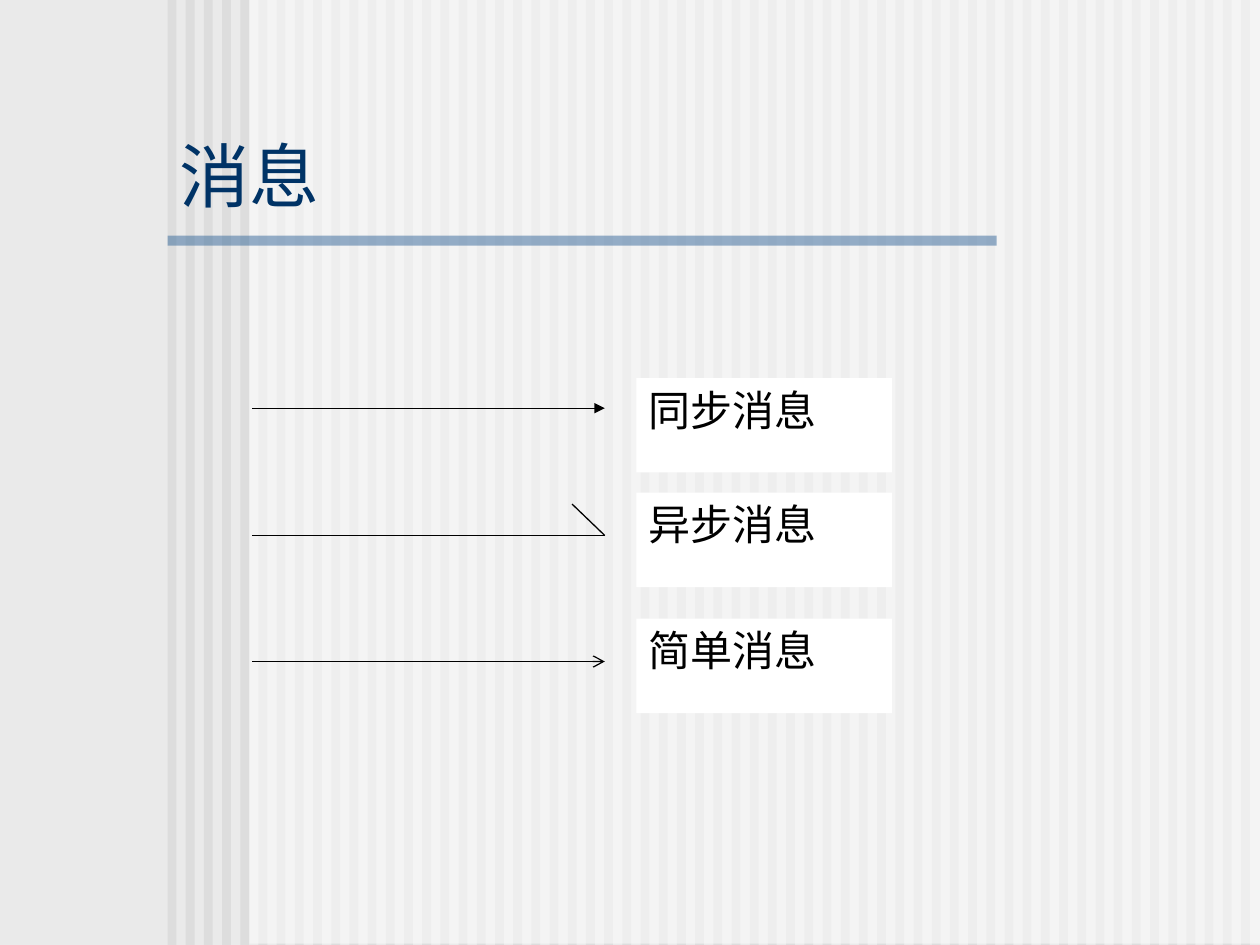
from dataclasses import dataclass

from lxml.etree import SubElement
from pptx import Presentation
from pptx.dml.color import RGBColor
from pptx.enum.shapes import MSO_CONNECTOR, MSO_SHAPE
from pptx.enum.text import MSO_ANCHOR, PP_ALIGN
from pptx.oxml.ns import qn
from pptx.util import Inches, Pt


@dataclass(frozen=True)
class Theme:
    background: str = "EAEAEA"
    stripe: str = "DDDDDD"
    white: str = "FFFFFF"
    rule: str = "336699"
    title: str = "003366"
    ink: str = "000000"
    title_font: str = "Arial"
    label_font: str = "Times New Roman"
    title_size: int = 40
    label_size: int = 24
    line_width: float = 0.75


class SlideBuilder:
    def __init__(self, slide, theme):
        self.slide = slide
        self.theme = theme
        fill = slide.background.fill
        fill.solid()
        fill.fore_color.rgb = RGBColor.from_string(theme.background)

    def rectangle(self, left, top, width, height, color, opacity=100):
        shape = self.slide.shapes.add_shape(
            MSO_SHAPE.RECTANGLE, Inches(left), Inches(top), Inches(width), Inches(height)
        )
        shape.shadow.inherit = False
        shape.line.fill.background()
        shape.fill.solid()
        shape.fill.fore_color.rgb = RGBColor.from_string(color)
        if opacity < 100:
            color_element = shape._element.spPr.find(f".//{qn('a:srgbClr')}")
            SubElement(color_element, qn("a:alpha"), val=str(opacity * 1000))
        return shape

    def set_text(self, shape, text, font_name, size, color, alignment, anchor):
        frame = shape.text_frame
        paragraph = frame.paragraphs[0]
        paragraph.text = text
        paragraph.alignment = alignment
        frame_format = {"word_wrap": True, "vertical_anchor": anchor}
        font_format = {"name": font_name, "size": Pt(size)}
        for target, values in ((frame, frame_format), (paragraph.runs[0].font, font_format)):
            for name, value in values.items():
                setattr(target, name, value)
        paragraph.runs[0].font.color.rgb = RGBColor.from_string(color)

    def title(self, text, left, top, width, height):
        box = self.slide.shapes.add_textbox(
            Inches(left), Inches(top), Inches(width), Inches(height)
        )
        theme = self.theme
        self.set_text(box, text, theme.title_font, theme.title_size, theme.title,
                      PP_ALIGN.LEFT, MSO_ANCHOR.BOTTOM)

    def label(self, text, left, top, width, height):
        theme = self.theme
        shape = self.rectangle(left, top, width, height, theme.white)
        self.set_text(shape, text, theme.label_font, theme.label_size, theme.ink,
                      PP_ALIGN.JUSTIFY, MSO_ANCHOR.TOP)

    def line(self, start, end, arrowhead=None):
        connector = self.slide.shapes.add_connector(
            MSO_CONNECTOR.STRAIGHT, *(Inches(value) for value in (*start, *end))
        )
        connector.line.width = Pt(self.theme.line_width)
        connector.line.color.rgb = RGBColor.from_string(self.theme.ink)
        properties = connector._element.spPr
        if arrowhead:
            SubElement(properties.find(qn("a:ln")), qn("a:tailEnd"), type=arrowhead)
        SubElement(properties, qn("a:effectLst"))


def add_backdrop(builder, theme):
    first_left, last_left, stripe_count = 1.33, 9.85, 60
    pitch = (last_left - first_left) / (stripe_count - 1)
    for index in range(stripe_count):
        builder.rectangle(first_left + index * pitch, 0, 0.07, 7.5, theme.stripe)
    builder.rectangle(1.98, -0.01, 8.02, 7.5, theme.white, opacity=50)
    builder.rectangle(first_left, 1.87, 6.58, 0.08, theme.rule, opacity=50)


def main():
    presentation = Presentation()
    presentation.slide_width = Inches(10)
    presentation.slide_height = Inches(7.5)
    theme = Theme()
    builder = SlideBuilder(presentation.slides.add_slide(presentation.slide_layouts[6]), theme)

    add_backdrop(builder, theme)
    builder.title("消息", 1.33, 1.08, 7.33, 0.69)

    messages = [
        ("同步消息", 3.24, 3, "triangle"),
        ("异步消息", 4.25, 3.91, None),
        ("简单消息", 5.25, 4.91, "arrow"),
    ]
    line_left, line_right = 2, 4.8
    for text, line_top, label_top, arrowhead in messages:
        builder.line((line_left, line_top), (line_right, line_top), arrowhead)
        if arrowhead is None:
            builder.line((4.54, line_top - 0.25), (line_right, line_top))
        builder.label(text, 5.05, label_top, 2.03, 0.75)

    presentation.save("out.pptx")


if __name__ == "__main__":
    main()
